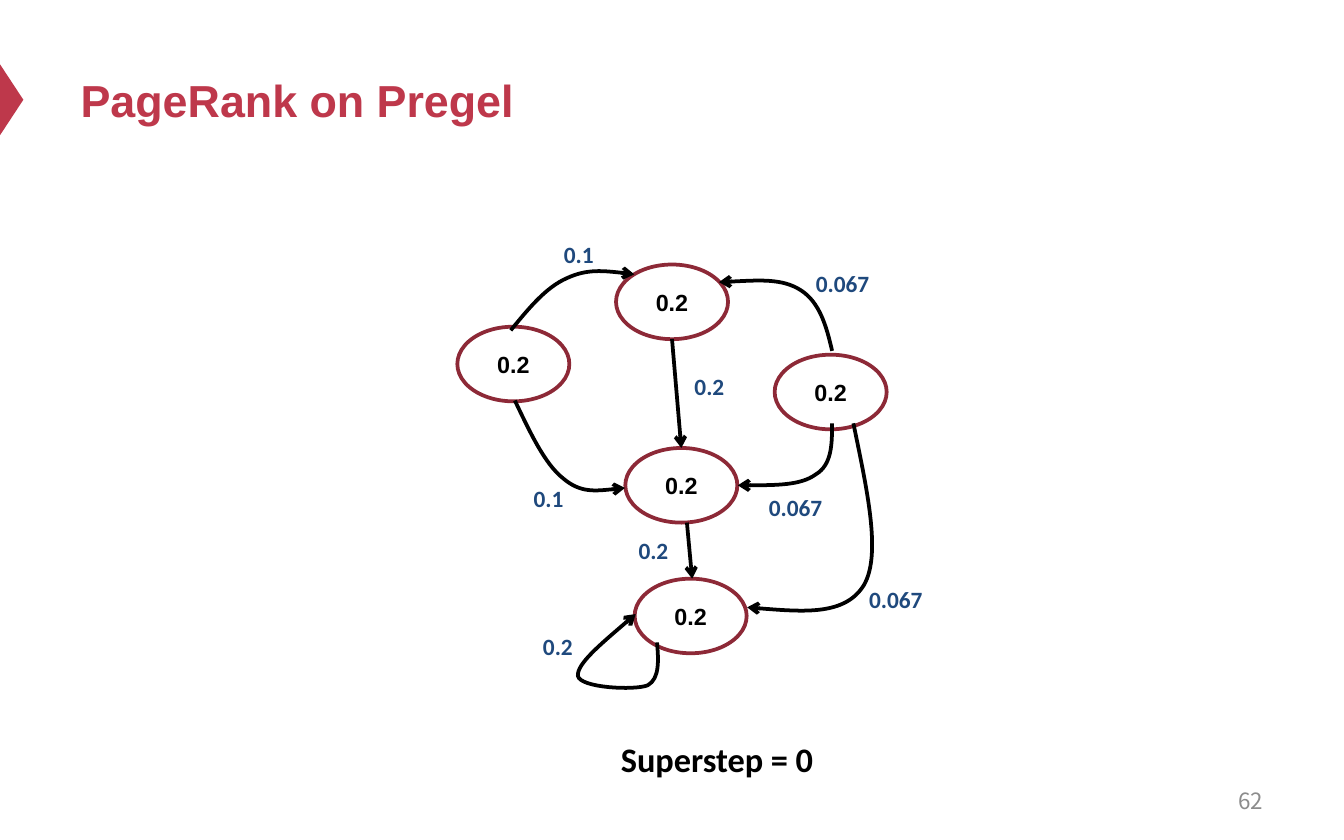
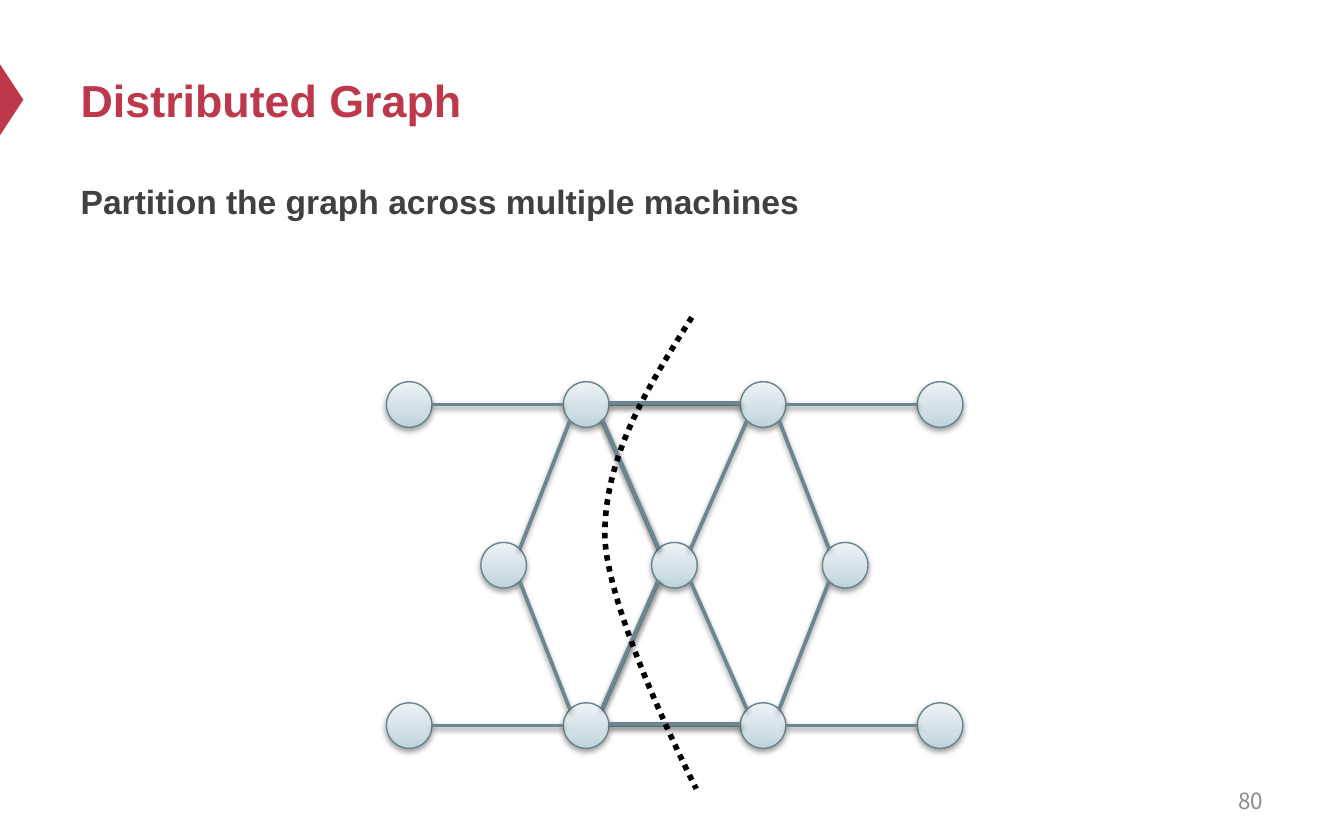
import math

import pptx
import pptx.dml.color
import pptx.enum.dml
import pptx.enum.shapes
import pptx.enum.text
import pptx.oxml
import pptx.oxml.ns
import pptx.util

Pt = pptx.util.Pt
SHAPE = pptx.enum.shapes.MSO_SHAPE
ALIGN = pptx.enum.text.PP_ALIGN
ANCHOR = pptx.enum.text.MSO_ANCHOR
AUTO = pptx.enum.text.MSO_AUTO_SIZE
A_NS = 'xmlns:a="http://schemas.openxmlformats.org/drawingml/2006/main"'

RED, DARK_RED, BLACK = "BE384B", "8D2937", "000000"
BLUE, GREY, DARK_GREY = "1F497D", "8C8C8C", "404040"
NODE_LINE, EDGE_LINE = "67848D", "6A868F"
NODE_STOPS = [(0, "BDD3DB"), (35, "D1DFE5"), (100, "EDF3F5")]

# PageRank slide: vertices, message arrows and message values
VERTEX_SIZE = (60, 40)
VERTICES = [(330, 141.7), (335, 240), (340, 310), (415, 190), (245, 175)]
VERTEX_VALUE = "0.2"
MESSAGE_CURVES = [
    [(273.6, 177), (283, 165.6), (292.3, 154), (303.8, 149),
     (314.6, 144), (327.6, 145.4), (339.8, 147)],
    [(275.8, 214.6), (283.7, 231), (291.6, 248.4), (301.7, 256.3),
     (311, 264.2), (323.3, 262.8), (334.8, 261.4)],
    [(445.8, 188), (442.8, 175), (439.2, 162), (429, 155.5),
     (419, 149), (401.8, 150.5), (385.2, 151.2)],
    [(445.8, 226.8), (445.8, 237.6), (445.8, 249), (437, 254.2),
     (429, 260), (411.8, 260), (395.3, 260)],
    [(457.2, 226.8), (464.4, 262), (472.3, 296.6), (463, 313.2),
     (453, 329.8), (427, 327.6), (400.3, 325.4)],
    [(352, 344.2), (352.8, 353.5), (353.5, 363.6), (347, 367.2),
     (339.8, 370), (311, 368.6), (309.6, 362.2),
     (309, 355.7), (324.7, 342.7), (340.6, 329)],
]
MESSAGE_LINES = [((360, 181.6), (365, 240)), ((368, 280), (370.8, 310))]
MESSAGE_LABELS = [
    ("0.1", 295, 125.3), ("0.1", 278.8, 255.8), ("0.2", 365, 195.8),
    ("0.067", 430, 140.7), ("0.067", 404.8, 260.8), ("0.067", 458.5, 310),
    ("0.2", 335, 283.8), ("0.2", 283.8, 335),
]

# Distributed graph slide: vertices a-d on top, e-g in the middle, h-k below
RADIUS = 12.2
ROWS = [("abcd", 219.2, 94.8, 216.7), ("efg", 269.8, 91.5, 302.8),
        ("hijk", 219.2, 94.8, 388.7)]
CENTRES = {name: (left + i * step, y)
           for names, left, step, y in ROWS for i, name in enumerate(names)}
CUT_EDGES = ["bc", "ij", "fb", "fi"]
# Vertices, inner edges and vertical shift of the partition's cut edges
PARTITIONS = [
    ("fgkjdc", ["cd", "gc", "fc", "jk", "jg", "jf"], 0),
    ("eihba", ["ab", "eb", "hi", "ie"], -0.7),
]
CUT_CURVE = [(370.6, 170), (347, 207.4), (324, 244), (324, 286.6),
             (324.7, 328.3), (373, 422.6), (373, 422.6)]


def rgb(color):
    return pptx.dml.color.RGBColor.from_string(color)


def xml(text):
    """Return the DrawingML element that the text describes."""
    return pptx.oxml.parse_xml(f"<a:wrap {A_NS}>{text}</a:wrap>")[0]


def write(tf, text, size=12.5, font="Arial", color=BLACK, bold=True,
          align=ALIGN.LEFT, anchor=ANCHOR.TOP, wrap=True, auto=AUTO.NONE):
    tf.word_wrap, tf.auto_size, tf.vertical_anchor = wrap, auto, anchor
    p = tf.paragraphs[0]
    p.alignment = align
    r = p.add_run()
    r.text = text
    r.font.size, r.font.name, r.font.bold = Pt(size), font, bold
    r.font.color.rgb = rgb(color)
    return p


def place(sp, left, top, width, height):
    sp.left, sp.top, sp.width, sp.height = map(Pt, (left, top, width, height))


def add_text(slide, text, box, **fmt):
    tb = slide.shapes.add_textbox(*map(Pt, box))
    write(tb.text_frame, text, **fmt)


def set_line(sp, color, width, arrow=False, shadow=False):
    """Format the outline, then state the effects, which must follow it."""
    sp.line.color.rgb = rgb(color)
    sp.line.width = Pt(width)
    if arrow:
        sp.line._get_or_add_ln().append(xml('<a:tailEnd type="arrow"/>'))
    inner = ('<a:outerShdw blurRad="40000" dist="20000" dir="5400000" '
             'rotWithShape="0"><a:srgbClr val="000000"><a:alpha val="38000"/>'
             '</a:srgbClr></a:outerShdw>') if shadow else ""
    sp._element.spPr.append(xml(f"<a:effectLst>{inner}</a:effectLst>"))


def add_line(shapes, start, end, color, **fmt):
    kind = pptx.enum.shapes.MSO_CONNECTOR.STRAIGHT
    cn = shapes.add_connector(kind, *map(Pt, start + end))
    set_line(cn, color, 2, **fmt)


def add_curve(slide, points, width, arrow=False):
    """Draw cubic curves: a start point, then three points for each curve."""
    start, *rest = [(Pt(x), Pt(y)) for x, y in points]
    fb = slide.shapes.build_freeform(*start)
    fb.add_line_segments(rest, close=False)
    sp = fb.convert_to_shape()
    segments = list(sp._element.iter(pptx.oxml.ns.qn("a:lnTo")))
    for i in range(0, len(segments), 3):
        curve = xml("<a:cubicBezTo/>")
        segments[i].addprevious(curve)
        for segment in segments[i:i + 3]:
            curve.append(segment[0])
            segment.getparent().remove(segment)
    sp.fill.background()
    set_line(sp, BLACK, width, arrow=arrow)
    return sp


def add_master_marker(prs, slide):
    """Make the red side marker on a slide and move it to the master."""
    marker = slide.shapes.add_shape(SHAPE.ISOSCELES_TRIANGLE,
                                    *map(Pt, (-12.75, 47.2, 38, 12.5)))
    marker.rotation = 90
    marker.fill.solid()
    marker.fill.fore_color.rgb = rgb(RED)
    marker.line.fill.background()
    marker.shadow.inherit = False
    marker._element.nvSpPr.cNvPr.set("id", "100")
    prs.slide_master.shapes._spTree.append(marker._element)


def add_slide(prs, layout, title, number):
    slide = prs.slides.add_slide(prs.slide_layouts[layout])
    place(slide.shapes.title, 36, 18, 648, 71)
    write(slide.shapes.title.text_frame, title, size=24, color=RED,
          anchor=ANCHOR.MIDDLE)
    add_text(slide, number, (516, 417, 167.7, 24), size=12, bold=False,
             font="Noto Sans CJK SC", color=GREY, align=ALIGN.RIGHT,
             anchor=ANCHOR.MIDDLE)
    return slide


def add_graph_node(shapes, centre):
    x, y = centre
    sp = shapes.add_shape(SHAPE.OVAL, Pt(x - RADIUS), Pt(y - RADIUS),
                          Pt(2 * RADIUS), Pt(2 * RADIUS))
    stops = "".join(f'<a:gs pos="{pos * 1000}"><a:srgbClr val="{color}"/></a:gs>'
                    for pos, color in NODE_STOPS)
    sp._element.spPr.prstGeom.addnext(xml(
        f'<a:gradFill><a:gsLst>{stops}</a:gsLst>'
        '<a:lin ang="16200000" scaled="0"/></a:gradFill>'))
    set_line(sp, NODE_LINE, 0.75, shadow=True)


def add_graph_edge(shapes, start, end, shift=0):
    """Join two circles at their nearest side or diagonal points."""
    (x1, y1), (x2, y2) = start, end
    reach = RADIUS / math.sqrt(2) if y1 != y2 else RADIUS
    ox = math.copysign(reach, x2 - x1)
    oy = math.copysign(reach, y2 - y1) if y1 != y2 else 0
    add_line(shapes, (x1 + ox, y1 + oy + shift), (x2 - ox, y2 - oy + shift),
             EDGE_LINE, shadow=True)


def build_pagerank(prs):
    slide = add_slide(prs, 5, "PageRank on Pregel", "62")
    add_master_marker(prs, slide)
    for left, top in VERTICES:
        sp = slide.shapes.add_shape(SHAPE.OVAL,
                                    *map(Pt, (left, top) + VERTEX_SIZE))
        sp.fill.background()
        set_line(sp, DARK_RED, 2)
        write(sp.text_frame, VERTEX_VALUE, align=ALIGN.CENTER,
              anchor=ANCHOR.MIDDLE)
    for points in MESSAGE_CURVES:
        add_curve(slide, points, 2, arrow=True)
    for start, end in MESSAGE_LINES:
        add_line(slide.shapes, start, end, BLACK, arrow=True)
    label = dict(font="Calibri", wrap=False, auto=AUTO.SHAPE_TO_FIT_TEXT)
    for text, left, top in MESSAGE_LABELS:
        width = 31 if len(text) == 3 else 44
        add_text(slide, text, (left, top, width, 22), color=BLUE, **label)
    add_text(slide, "Superstep = 0", (325.5, 391.7, 118, 29.5), size=18.4,
             **label)


def build_distributed_graph(prs):
    slide = add_slide(prs, 1, "Distributed Graph", "80")
    body = slide.placeholders[1]
    place(body, 36, 89, 648, 297)
    p = write(body.text_frame, "Partition the graph across multiple machines",
              size=18, color=DARK_GREY)
    p.line_spacing, p.space_before = 1.2, Pt(0)
    pPr = p._p.get_or_add_pPr()
    pPr.set("marL", "0")
    pPr.set("indent", "0")
    pPr.append(xml("<a:buNone/>"))
    for names, edges, cut_shift in PARTITIONS:
        group = slide.shapes.add_group_shape()
        for name in names:
            add_graph_node(group.shapes, CENTRES[name])
        for start, end in edges:
            add_graph_edge(group.shapes, CENTRES[start], CENTRES[end])
        for start, end in CUT_EDGES:
            add_graph_edge(group.shapes, CENTRES[start], CENTRES[end],
                           cut_shift)
    cut = add_curve(slide, CUT_CURVE, 3)
    cut.line.dash_style = pptx.enum.dml.MSO_LINE.ROUND_DOT


def main():
    prs = pptx.Presentation()
    prs.slide_width, prs.slide_height = Pt(720), Pt(450)
    build_pagerank(prs)
    build_distributed_graph(prs)
    prs.save("out.pptx")


if __name__ == "__main__":
    main()
